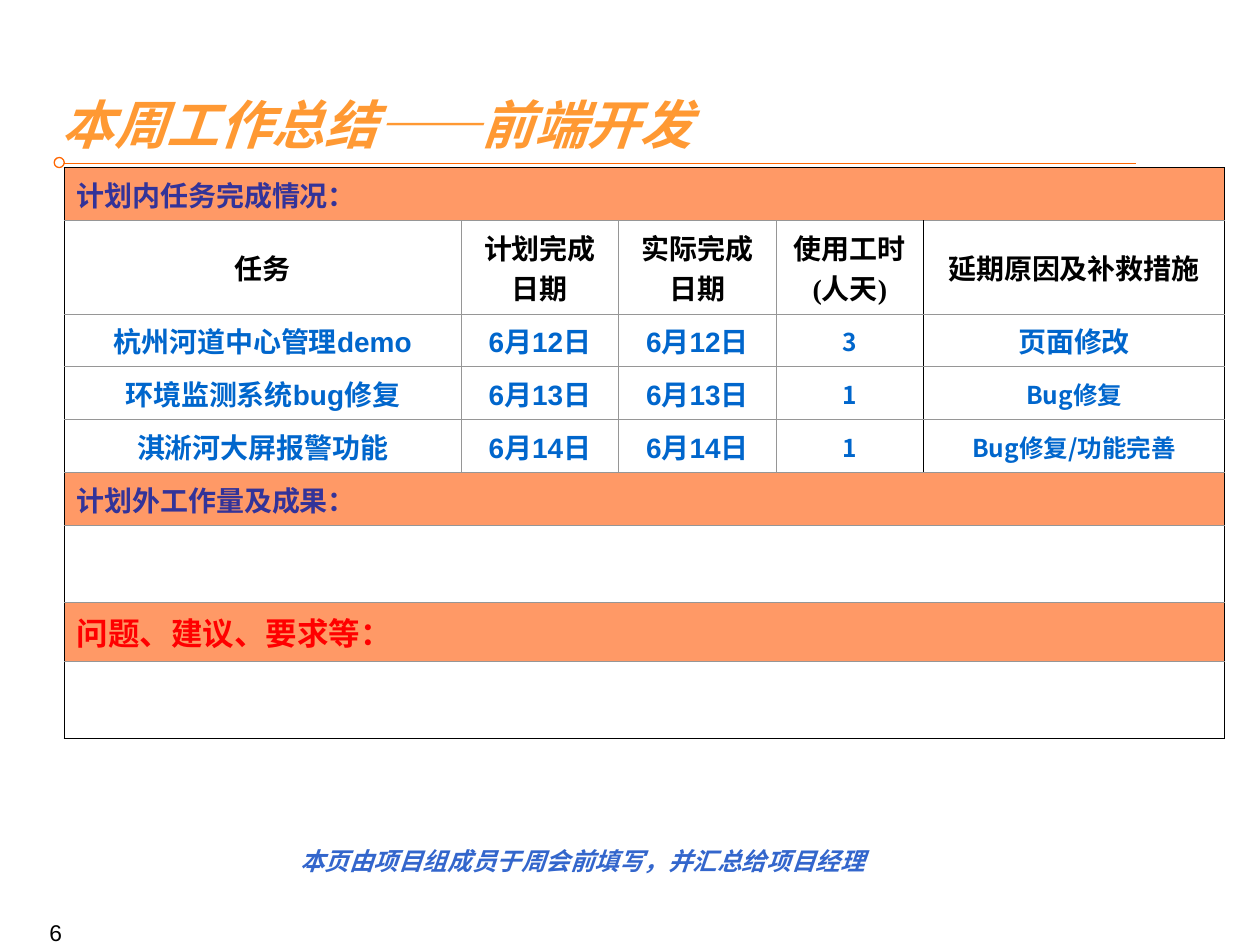
import pptx
import pptx.util
import pptx.oxml
import pptx.oxml.ns
import pptx.dml.color
import pptx.enum.text
import pptx.enum.shapes

Inches, Pt = pptx.util.Inches, pptx.util.Pt
RGB = pptx.dml.color.RGBColor.from_string
ALIGN, ANCHOR = pptx.enum.text.PP_ALIGN, pptx.enum.text.MSO_ANCHOR
qn = pptx.oxml.ns.qn

# Content
TITLE = "本周工作总结——前端开发"
HEADINGS = ["任务", "计划完成日期", "实际完成日期", "使用工时(人天)", "延期原因及补救措施"]
TASKS = [
    ["杭州河道中心管理demo", "6月12日", "6月12日", "3", "页面修改"],
    ["环境监测系统bug修复", "6月13日", "6月13日", "1", "Bug修复"],
    ["淇淅河大屏报警功能", "6月14日", "6月14日", "1", "Bug修复/功能完善"],
]
ROWS = [["计划内任务完成情况："], HEADINGS, *TASKS,
        ["计划外工作量及成果："], [""], ["问题、建议、要求等："], [""]]
FOOTNOTE = "本页由项目组成员于周会前填写，并汇总给项目经理"
PAGE = "6"

# Look
COLORS = {"title": "FF9933", "rule": "FF6600", "band": "FF9966", "section": "333399",
          "issue": "FF0000", "task": "0066CC", "note": "3366CC",
          "black": "000000", "grid": "969696"}
CJK = "Noto Sans CJK SC"
STYLES = {
    "title": ({"size": Pt(30), "name": "Arial", "bold": True, "italic": True}, "title"),
    "section": ({"size": Pt(16), "name": CJK, "bold": True}, "section"),
    "issue": ({"size": Pt(18), "name": CJK, "bold": True}, "issue"),
    "heading": ({"size": Pt(16), "name": "Times New Roman", "bold": True}, "black"),
    "task": ({"size": Pt(16), "name": "Arial", "bold": True}, "task"),
    "small": ({"size": Pt(14), "name": CJK, "bold": True}, "task"),
    "note": ({"size": Pt(14), "name": "Arial", "bold": True, "italic": True}, "note"),
    "page": ({"size": Pt(13), "name": "Arial"}, "black"),
}
COL_WIDTHS = [3.15, 1.25, 1.25, 1.17, 2.39]
ROW_HEIGHTS = [0.42, 0.74, 0.42, 0.42, 0.42, 0.42, 0.61, 0.47, 0.61]
LAST_ROW, LAST_COL = len(ROW_HEIGHTS) - 1, len(COL_WIDTHS) - 1
THICK, THIN, DARK_THIN = ("black", 0.75), ("grid", 0.45), ("black", 0.45)


def write(tf, text, style, align):
    values, color = STYLES[style]
    p = tf.paragraphs[0]
    p.alignment = align
    r = p.add_run()
    r.text = text
    for key, value in values.items():
        setattr(r.font, key, value)
    r.font.color.rgb = RGB(COLORS[color])
    ea = pptx.oxml.parse_xml(f'<a:ea {pptx.oxml.ns.nsdecls("a")} typeface="{CJK}"/>')
    r.font._element.find(qn("a:latin")).addnext(ea)
    return p


def add_text(slide, box, text, style, align):
    tf = slide.shapes.add_textbox(*map(Inches, box)).text_frame
    tf.word_wrap = True
    return write(tf, text, style, align)


def set_borders(cell, borders):
    tcPr = cell._tc.get_or_add_tcPr()
    for side, (color, width) in borders.items():
        tcPr.append(pptx.oxml.parse_xml(
            f'<a:ln{side} {pptx.oxml.ns.nsdecls("a")} w="{Pt(width)}"><a:solidFill>'
            f'<a:srgbClr val="{COLORS[color]}"/></a:solidFill></a:ln{side}>'))


def cell_borders(row, col, merged):
    borders = {}
    if col == 0 or not merged:
        borders["L"] = THICK if col == 0 else DARK_THIN if col == LAST_COL else THIN
    if merged and col in (0, LAST_COL) or col == LAST_COL:
        borders["R"] = THICK
    elif not merged:
        borders["R"] = DARK_THIN if col == LAST_COL - 1 else THIN
    borders["T"] = THICK if row == 0 else THIN
    borders["B"] = THICK if row == LAST_ROW else THIN
    return borders


def cell_style(row, col, merged):
    if merged:
        return "issue" if row == LAST_ROW - 1 else "section"
    if row == 1:
        return "heading"
    return "small" if col == 3 or (col == LAST_COL and row > 2) else "task"


def add_rule(slide):
    line = slide.shapes.add_connector(pptx.enum.shapes.MSO_CONNECTOR.STRAIGHT,
                                      *map(Inches, (0.51, 1.3, 9.02, 1.3)))
    line._element.spPr.append(pptx.oxml.parse_xml(
        f'<a:effectLst {pptx.oxml.ns.nsdecls("a")}/>'))
    ring = slide.shapes.add_shape(pptx.enum.shapes.MSO_SHAPE.OVAL,
                                  *map(Inches, (0.43, 1.25, 0.08, 0.08)))
    ring.shadow.inherit = False
    ring.fill.background()
    for s in (line, ring):
        s.line.color.rgb = RGB(COLORS["rule"])
        s.line.width = Pt(0.75)


def add_report(slide):
    box = (0.51, 1.33, sum(COL_WIDTHS), sum(ROW_HEIGHTS))
    table = slide.shapes.add_table(len(ROWS), len(COL_WIDTHS), *map(Inches, box)).table
    table.first_row = table.horz_banding = False
    for column, width in zip(table.columns, COL_WIDTHS):
        column.width = Inches(width)
    for i, (texts, height) in enumerate(zip(ROWS, ROW_HEIGHTS)):
        table.rows[i].height = Inches(height)
        merged = len(texts) == 1
        if merged:
            table.cell(i, 0).merge(table.cell(i, LAST_COL))
        for j in range(len(COL_WIDTHS)):
            cell = table.cell(i, j)
            set_borders(cell, cell_borders(i, j, merged))
            if merged and texts[0]:
                cell.fill.solid()
                cell.fill.fore_color.rgb = RGB(COLORS["band"])
            else:
                cell.fill.background()
            if j < len(texts) and texts[j]:
                cell.vertical_anchor = ANCHOR.MIDDLE
                write(cell.text_frame, texts[j], cell_style(i, j, merged),
                      ALIGN.LEFT if merged else ALIGN.CENTER)


def main():
    prs = pptx.Presentation()
    prs.slide_width, prs.slide_height = Inches(10), Inches(7.5)
    slide = prs.slides.add_slide(prs.slide_layouts[5])

    # Title and its rule
    add_rule(slide)
    title = slide.shapes.title
    title.left, title.top, title.width, title.height = map(Inches, (0.39, 0.67, 9.59, 0.62))
    tf = title.text_frame
    tf.auto_size = pptx.enum.text.MSO_AUTO_SIZE.NONE
    tf.vertical_anchor = ANCHOR.MIDDLE
    write(tf, TITLE, "title", ALIGN.LEFT)

    # Weekly report table
    add_report(slide)

    # Footnote and page number
    note = add_text(slide, (0.5, 6.58, 8.25, 0.42), FOOTNOTE, "note", ALIGN.CENTER)
    note.line_spacing = 1.35
    add_text(slide, (0, 7.24, 0.59, 0.26), PAGE, "page", ALIGN.RIGHT)

    prs.save("out.pptx")


if __name__ == "__main__":
    main()
